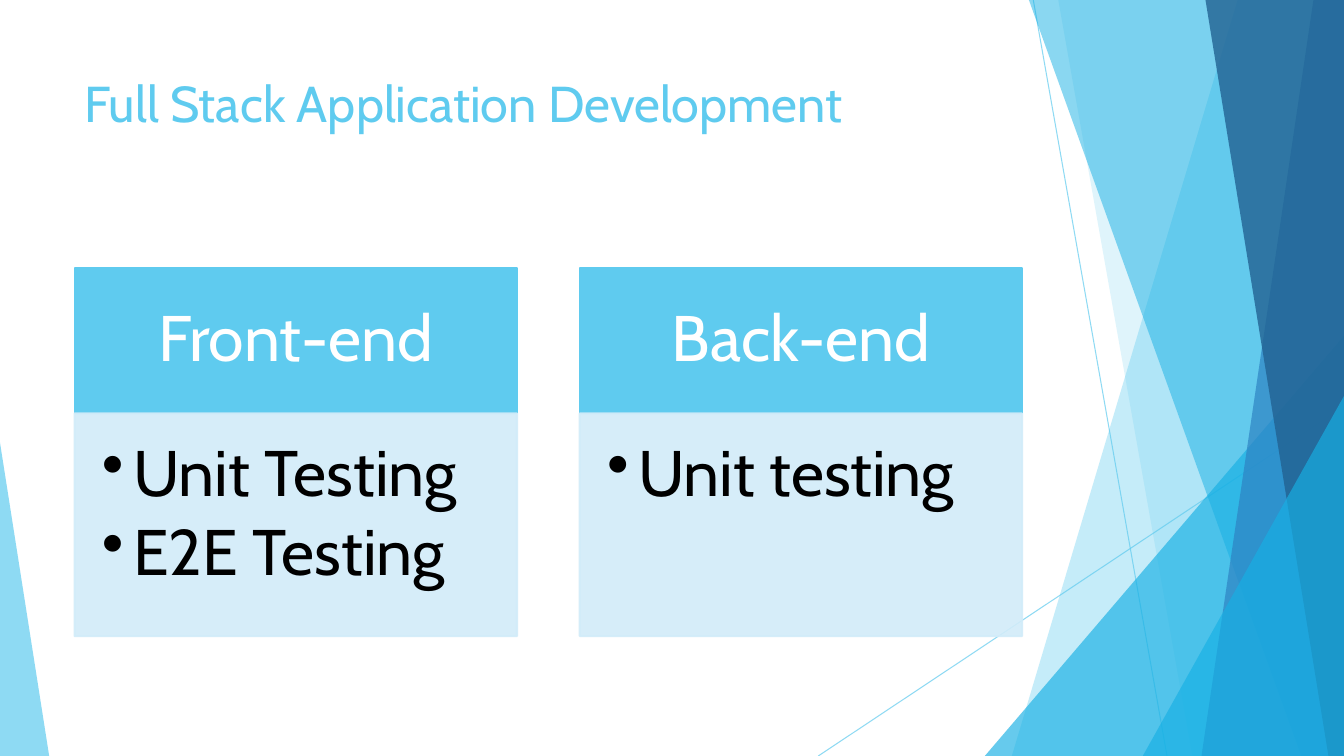
from lxml.etree import SubElement
from pptx import Presentation
from pptx.dml.color import RGBColor
from pptx.enum.shapes import MSO_CONNECTOR, MSO_SHAPE
from pptx.enum.text import MSO_ANCHOR, PP_ALIGN
from pptx.oxml.ns import qn
from pptx.util import Cm, Pt

WIDTH, HEIGHT = 33.87, 19.05
SKY, AZURE, BLUE, NAVY, PALE = "5FCBEF", "17B0E4", "2E83C3", "226292", "D2ECF9"

# top x, bottom x, colour, opacity in percent
BACK_SHARDS = [(31.19, 25.5, SKY, 36), (26.67, 30.05, SKY, 20)]
FRONT_SHARDS = [(25.93, 32.79, AZURE, 50), (33.1, 30.28, BLUE, 70), (30.38, 33.48, NAVY, 80)]

COLUMNS = [("Front-end", ["Unit Testing", "E2E Testing"]), ("Back-end", ["Unit testing"])]
LEFT, COLUMN_PITCH, COLUMN_WIDTH = 1.88, 12.73, 11.15
HEADER_TOP, HEADER_HEIGHT, BODY_HEIGHT = 6.76, 3.66, 5.61


def paint(target, colour, opacity=100):
    """Colour a fill or a line's fill, with opacity in percent."""
    target.solid()
    target.fore_color.rgb = RGBColor.from_string(colour)
    if opacity < 100:
        # The colour element holds its transparency as a child.
        for element in target._xPr.iter(qn("a:srgbClr")):
            if element.getparent().getparent() is target._xPr:
                SubElement(element, qn("a:alpha"), val=str(opacity * 1000))


def style_shape(shape, colour, opacity=100, outlined=False):
    shape.shadow.inherit = False
    paint(shape.fill, colour, opacity)
    if outlined:
        shape.line.width = Pt(1.5)
        paint(shape.line.fill, colour, opacity)
    else:
        shape.line.fill.background()


def add_shard(page, top_x, bottom_x, colour, opacity):
    """Draw a full-height panel with a slanted left edge."""
    builder = page.shapes.build_freeform(Cm(top_x), 0)
    corners = [(WIDTH, 0), (WIDTH, HEIGHT), (bottom_x, HEIGHT)]
    builder.add_line_segments([(Cm(x), Cm(y)) for x, y in corners], close=True)
    style_shape(builder.convert_to_shape(), colour, opacity)


def add_triangle(page, left, top, width, apex, colour, opacity):
    """Draw a triangle standing on the bottom edge of the slide."""
    shape = page.shapes.add_shape(
        MSO_SHAPE.ISOSCELES_TRIANGLE, Cm(left), Cm(top), Cm(width), Cm(HEIGHT - top))
    shape.adjustments[0] = apex
    style_shape(shape, colour, opacity)


def add_thin_line(page, start_x, start_y, end_x, end_y):
    line = page.shapes.add_connector(
        MSO_CONNECTOR.STRAIGHT, Cm(start_x), Cm(start_y), Cm(end_x), Cm(end_y))
    line.line.width = Pt(0.75)
    paint(line.line.fill, SKY, 70)
    SubElement(line._element.spPr, qn("a:effectLst"))


def add_bullet(para):
    properties = para._p.get_or_add_pPr()
    properties.set("marL", str(Cm(0.79)))
    properties.set("indent", str(-Cm(0.79)))
    SubElement(properties, qn("a:buChar"), char="•")


def write_text(box, lines, size, colour, insets, anchor=MSO_ANCHOR.TOP,
               align=PP_ALIGN.LEFT, spacing=1.0, after=0, bullets=False):
    """Fill a shape with paragraphs; insets are left, top, right, bottom in cm."""
    frame = box.text_frame
    frame.word_wrap = True
    frame.vertical_anchor = anchor
    (frame.margin_left, frame.margin_top,
     frame.margin_right, frame.margin_bottom) = [Cm(inset) for inset in insets]
    for index, line in enumerate(lines):
        para = frame.add_paragraph() if index else frame.paragraphs[0]
        para.alignment = align
        para.line_spacing = spacing
        para.space_after = Pt(after)
        if bullets:
            add_bullet(para)
        span = para.add_run()
        span.text = line
        span.font.name = "Cabin"
        span.font.size = Pt(size)
        span.font.color.rgb = RGBColor.from_string(colour)


def add_panel(page, left, top, height, colour, opacity=100):
    panel = page.shapes.add_shape(
        MSO_SHAPE.RECTANGLE, Cm(left), Cm(top), Cm(COLUMN_WIDTH), Cm(height))
    style_shape(panel, colour, opacity, outlined=True)
    return panel


def add_column(page, left, heading, items):
    header = add_panel(page, left, HEADER_TOP, HEADER_HEIGHT, SKY)
    write_text(header, [heading], 46, "FFFFFF", (0.91, 0.51, 0.91, 0.51),
               anchor=MSO_ANCHOR.MIDDLE, align=PP_ALIGN.CENTER, spacing=0.9)
    body = add_panel(page, left, HEADER_TOP + HEADER_HEIGHT, BODY_HEIGHT, PALE, 90)
    write_text(body, items, 46, "000000", (0.69, 0.69, 0.91, 1.02),
               spacing=0.9, after=7, bullets=True)


def add_backdrop(page):
    add_thin_line(page, 26.04, 0, 29.41, HEIGHT)
    add_thin_line(page, WIDTH, 10.24, 20.62, HEIGHT)
    for shard in BACK_SHARDS:
        add_shard(page, *shard)
    add_triangle(page, 24.82, 8.46, 9.05, 1, AZURE, 66)
    for shard in FRONT_SHARDS:
        add_shard(page, *shard)
    add_triangle(page, 28.8, 9.98, 5.07, 1, AZURE, 66)
    add_triangle(page, 0, 11.15, 1.24, 0, SKY, 70)


def main():
    deck = Presentation()
    deck.slide_width, deck.slide_height = Cm(WIDTH), Cm(HEIGHT)
    page = deck.slides.add_slide(deck.slide_layouts[6])
    add_backdrop(page)
    title = page.shapes.add_textbox(Cm(LEFT), Cm(1.7), Cm(23.88), Cm(3.66))
    write_text(title, ["Full Stack Application Development"], 36, SKY,
               (0.25, 0.13, 0.25, 0.13))
    for index, (heading, items) in enumerate(COLUMNS):
        add_column(page, LEFT + index * COLUMN_PITCH, heading, items)
    deck.save("out.pptx")


if __name__ == "__main__":
    main()
